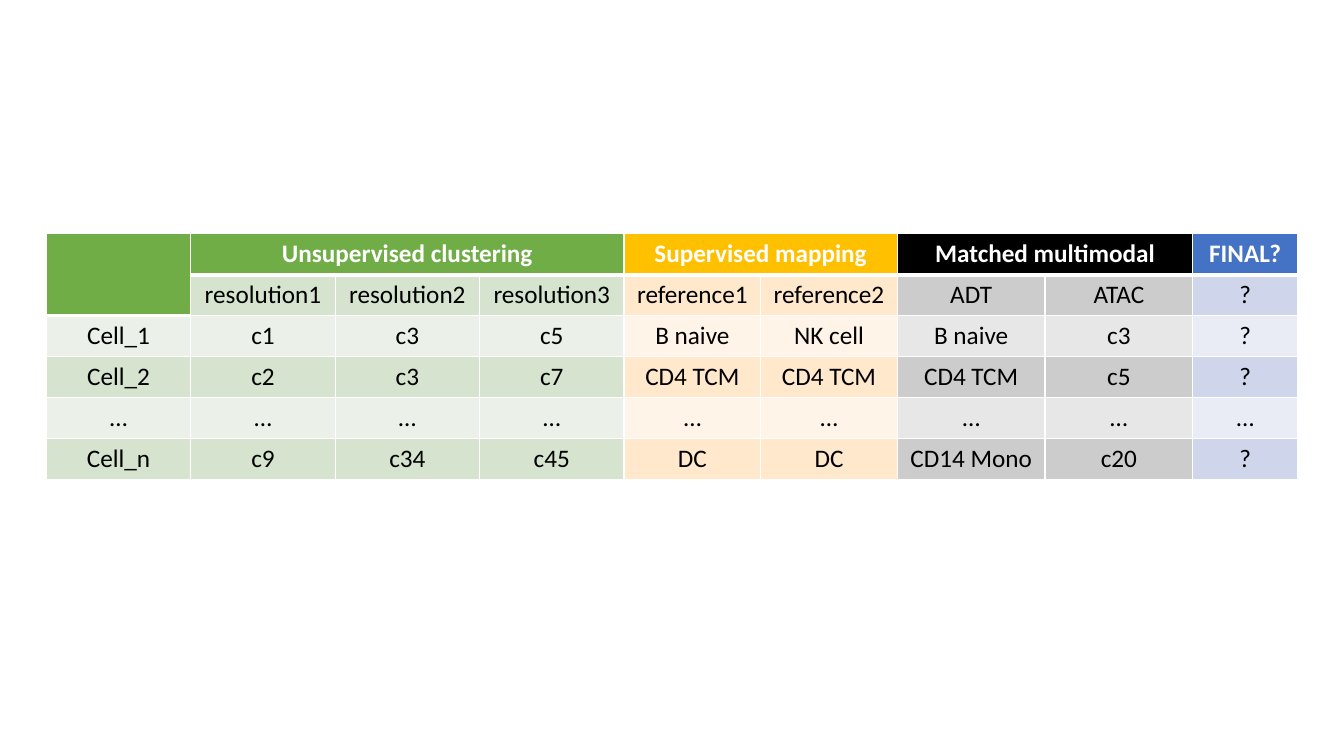
"""Build a slide of cell labels by clustering, mapping and multimodal data."""
from lxml import etree
from pptx import Presentation
from pptx.dml.color import RGBColor
from pptx.enum.text import PP_ALIGN
from pptx.oxml.ns import qn
from pptx.util import Inches, Pt

CENTER = PP_ALIGN.CENTER
FONT = "Calibri"
WHITE = RGBColor(0xFF, 0xFF, 0xFF)
BLACK = RGBColor(0, 0, 0)
GREEN = RGBColor(0x70, 0xAD, 0x47)
GREEN_MID = RGBColor(0xD5, 0xE3, 0xCF)
GREEN_PALE = RGBColor(0xEB, 0xF1, 0xE9)
GOLD = RGBColor(0xFF, 0xC0, 0x00)
GOLD_MID = RGBColor(0xFF, 0xE8, 0xCC)
GOLD_PALE = RGBColor(0xFF, 0xF4, 0xE7)
GREY_MID = RGBColor(0xCC, 0xCC, 0xCC)
GREY_PALE = RGBColor(0xE7, 0xE7, 0xE7)
BLUE = RGBColor(0x44, 0x72, 0xC4)
BLUE_MID = RGBColor(0xCF, 0xD5, 0xEA)
BLUE_PALE = RGBColor(0xE9, 0xEB, 0xF5)

GROUPS = [
    {"title": "Unsupervised clustering", "stub": 1, "width": 5.73,
     "colors": (GREEN, GREEN_MID, GREEN_PALE),
     "rows": [("", "resolution1", "resolution2", "resolution3"),
              ("Cell_1", "c1", "c3", "c5"),
              ("Cell_2", "c2", "c3", "c7"),
              ("…", "…", "…", "…"),
              ("Cell_n", "c9", "c34", "c45")]},
    {"title": "Supervised mapping", "stub": 0, "width": 2.71,
     "colors": (GOLD, GOLD_MID, GOLD_PALE),
     "rows": [("reference1", "reference2"),
              ("B naive", "NK cell"),
              ("CD4 TCM", "CD4 TCM"),
              ("…", "…"),
              ("DC", "DC")]},
    {"title": "Matched multimodal", "stub": 0, "width": 2.93,
     "colors": (BLACK, GREY_MID, GREY_PALE),
     "rows": [("ADT", "ATAC"),
              ("B naive", "c3"),
              ("CD4 TCM", "c5"),
              ("…", "…"),
              ("CD14 Mono", "c20")]},
    {"title": "FINAL?", "stub": 0, "width": 1.04,
     "colors": (BLUE, BLUE_MID, BLUE_PALE),
     "rows": [("?",), ("?",), ("?",), ("…",), ("?",)]},
]
LEFT, TOP, HEIGHT = 0.46, 2.32, 2.43


def edge(cell, heavy):
    """Draw white borders, with a thick one below a header."""
    props = cell._tc.get_or_add_tcPr()
    for side in ("L", "R", "T", "B"):
        width = Pt(3 if heavy and side == "B" else 1)
        line = etree.SubElement(props, qn(f"a:ln{side}"), w=str(width))
        fill = etree.SubElement(line, qn("a:solidFill"))
        etree.SubElement(fill, qn("a:srgbClr"), val=str(WHITE))


def style(cell, text, color, head):
    """Fill one cell and write its text."""
    edge(cell, head)
    cell.fill.solid()
    cell.fill.fore_color.rgb = color
    if not text:
        return
    para = cell.text_frame.paragraphs[0]
    para.alignment = CENTER
    run = para.add_run()
    run.text = text
    run.font.name = FONT
    run.font.size = Pt(18)
    run.font.bold = head
    run.font.color.rgb = WHITE if head else BLACK


def add_group(slide, group, left):
    """Add the table of one group of columns."""
    stub = group["stub"]
    count = len(group["rows"][0])
    title = [""] * count
    title[stub] = group["title"]
    rows = [title] + group["rows"]
    table = slide.shapes.add_table(
        len(rows), count, Inches(left), Inches(TOP),
        Inches(group["width"]), Inches(HEIGHT)).table
    dark, mid, pale = group["colors"]
    for r, row in enumerate(rows):
        for c, text in enumerate(row):
            head = r == 0 or (r == 1 and c < stub)
            color = dark if head else mid if r % 2 else pale
            style(table.cell(r, c), text, color, head)
    if stub:
        table.cell(0, 0).merge(table.cell(1, 0))
    if count - stub > 1:
        table.cell(0, stub).merge(table.cell(0, count - 1))


deck = Presentation()
deck.slide_width, deck.slide_height = Inches(13.33), Inches(7.5)
slide = deck.slides.add_slide(deck.slide_layouts[6])
left = LEFT
for group in GROUPS:
    add_group(slide, group, left)
    left += group["width"]
deck.save("out.pptx")
